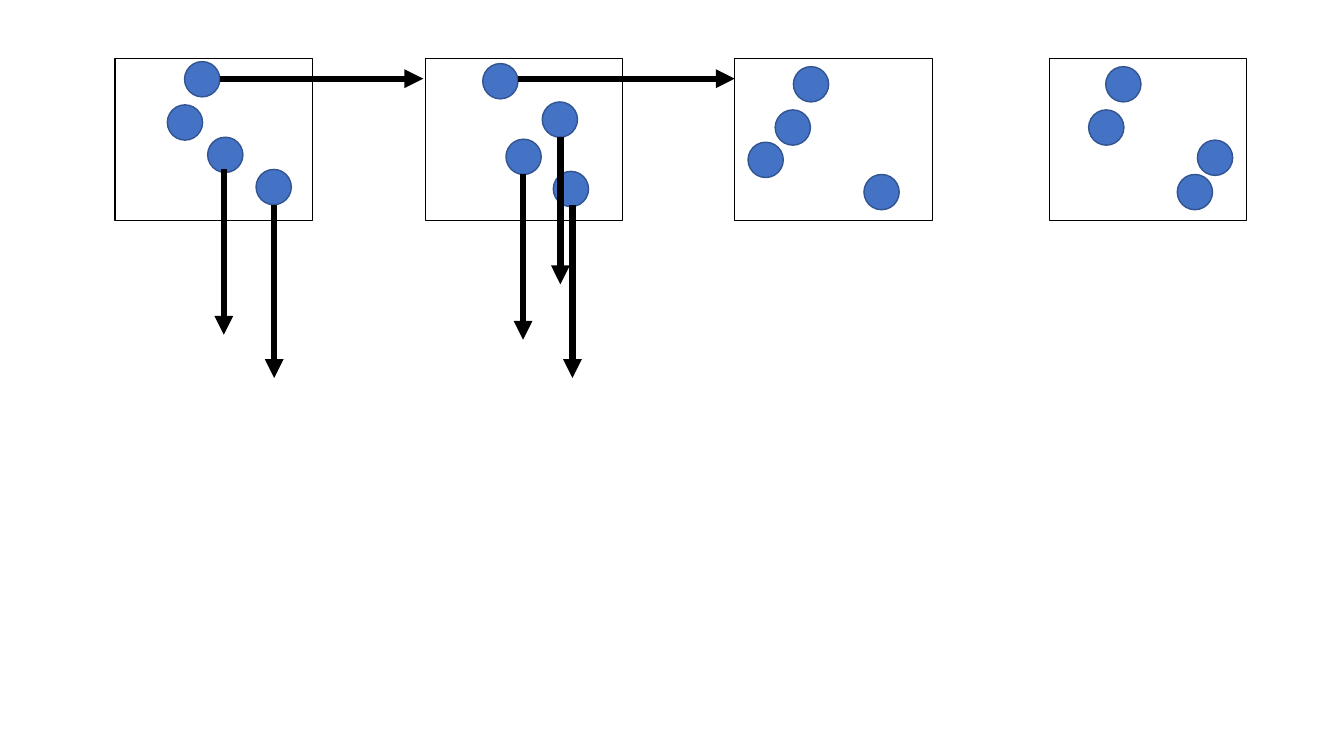
"""Build a slide of four boxes of particles with arrows showing their motion."""
from dataclasses import dataclass

from lxml import etree
from pptx import Presentation
from pptx import util as u
from pptx.dml.color import RGBColor
from pptx.enum import shapes
from pptx.oxml import ns


@dataclass(frozen=True)
class Theme:
    """Colours, line widths and the particle size, in points."""
    paper: str = "FFFFFF"
    ink: str = "000000"
    particle: str = "4472C4"
    rim: str = "325491"
    outline: float = 1
    arrow: float = 4.5
    diameter: float = 25.2


@dataclass(frozen=True)
class Frame:
    """A box with particle corners and arrows (x, y, dx, dy) relative to it."""
    left: float
    particles: tuple
    arrows: tuple = ()
    top: float = 41.8
    width: float = 141.1
    height: float = 115.9


THEME = Theme()
FRAMES = (
    Frame(82.1, ((49.7, 2.2), (37.4, 33.1), (66.2, 56.2), (100.8, 79.2)),
          ((74.9, 14.4, 145.4, 0), (77.8, 79.2, 0, 118.1),
           (113.8, 104.4, 0, 123.8))),
    Frame(303.8, ((41, 3.6), (83.5, 31), (57.6, 57.6), (91.4, 80.6)),
          ((96.5, 56.2, 0, 105.1), (66.2, 14.4, 154.8, 0),
           (69.8, 82.8, 0, 118.1), (105.1, 104.4, 0, 123.8))),
    Frame(524.9, ((41.8, 5.8), (28.8, 36.7), (9.4, 59.8), (92.2, 82.8))),
    Frame(749.5, ((40.3, 5.8), (28.1, 36.7), (105.8, 58.3), (91.4, 82.8))),
)


def add_preset(page, kind, bounds, fill, line):
    """Add a flat preset shape with a thin outline."""
    shape = page.shapes.add_shape(kind, *map(u.Pt, bounds))
    shape.shadow.inherit = False
    shape.fill.solid()
    shape.fill.fore_color.rgb = RGBColor.from_string(fill)
    shape.line.color.rgb = RGBColor.from_string(line)
    shape.line.width = u.Pt(THEME.outline)


def add_arrow(page, x, y, dx, dy):
    """Add a thick arrow from a point along a displacement."""
    arrow = page.shapes.add_connector(
        shapes.MSO_CONNECTOR.STRAIGHT, *map(u.Pt, (x, y, x + dx, y + dy)))
    arrow.line.color.rgb = RGBColor.from_string(THEME.ink)
    arrow.line.width = u.Pt(THEME.arrow)
    etree.SubElement(arrow.line._get_or_add_ln(), ns.qn("a:tailEnd"), type="triangle")
    etree.SubElement(arrow._element.spPr, ns.qn("a:effectLst"))


def draw_frame(page, frame):
    """Draw a box and its particles."""
    add_preset(page, shapes.MSO_SHAPE.RECTANGLE,
               (frame.left, frame.top, frame.width, frame.height),
               THEME.paper, THEME.ink)
    for x, y in frame.particles:
        add_preset(page, shapes.MSO_SHAPE.OVAL,
                   (frame.left + x, frame.top + y, THEME.diameter, THEME.diameter),
                   THEME.particle, THEME.rim)


def draw_motion(page, frame):
    """Draw the arrows leaving a box's particles."""
    for x, y, dx, dy in frame.arrows:
        add_arrow(page, frame.left + x, frame.top + y, dx, dy)


def main():
    """Build and save the deck."""
    deck = Presentation()
    deck.slide_width, deck.slide_height = u.Pt(960), u.Pt(540)
    page = deck.slides.add_slide(deck.slide_layouts.get_by_name("Blank"))
    for draw in (draw_frame, draw_motion):
        for frame in FRAMES:
            draw(page, frame)
    deck.save("out.pptx")


main()
